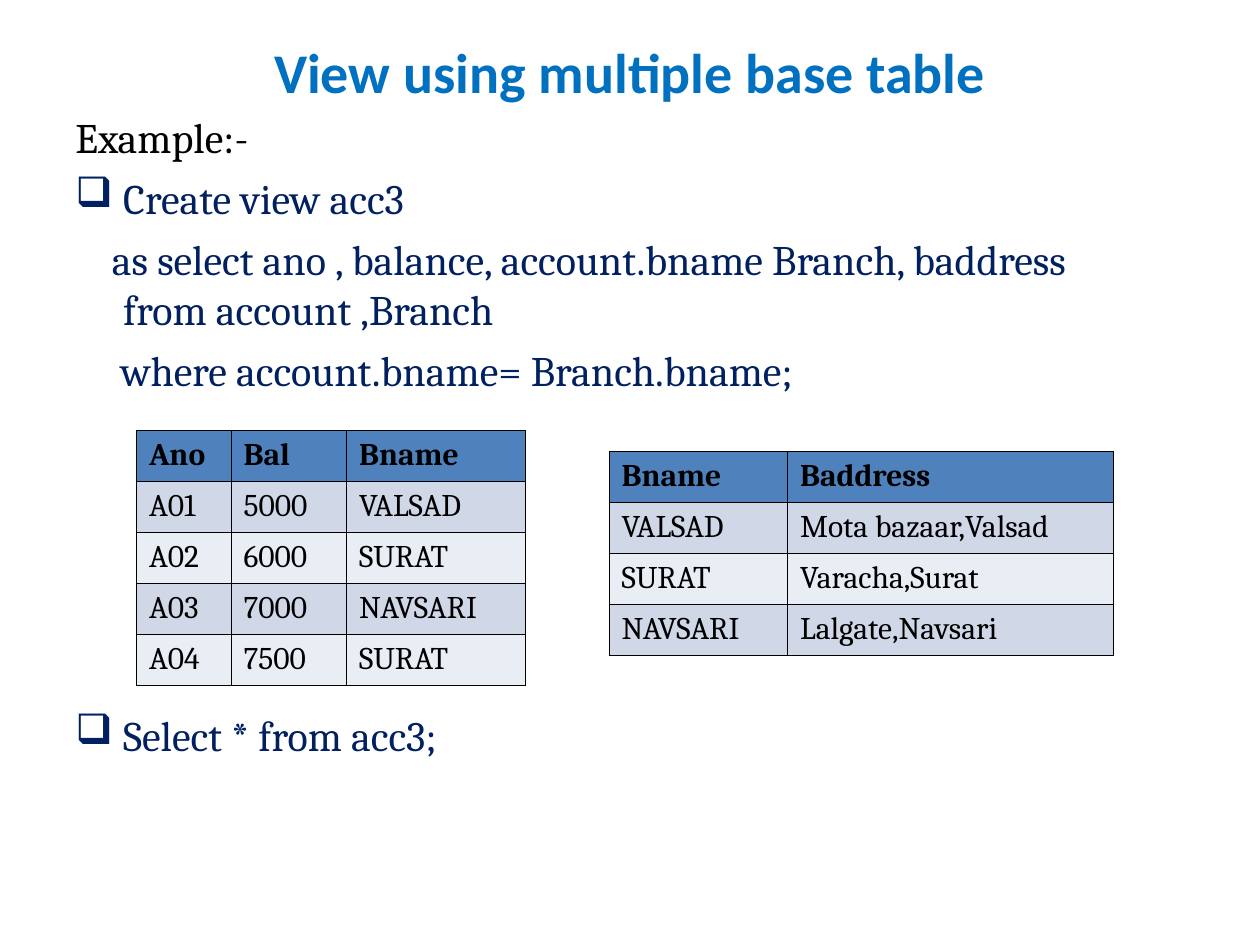
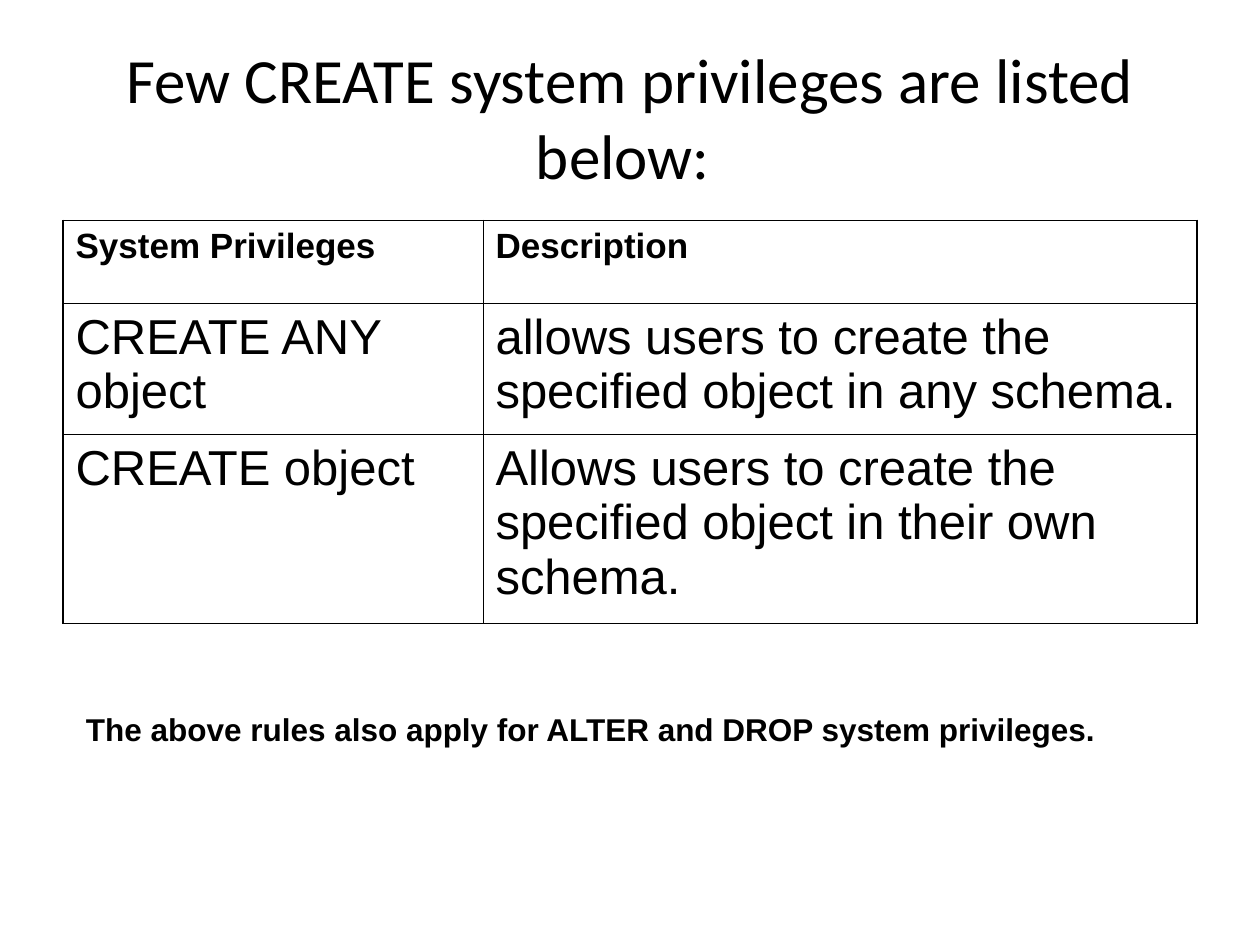
from lxml.etree import SubElement
from pptx import Presentation
from pptx.dml.color import RGBColor
from pptx.enum.text import MSO_ANCHOR as ANCHOR, MSO_AUTO_SIZE as AUTO, PP_ALIGN as ALIGN
from pptx.oxml.ns import qn
from pptx.util import Inches, Pt

BLACK = RGBColor(0x00, 0x00, 0x00)
TITLE_BLUE = RGBColor(0x00, 0x70, 0xC0)
NAVY = RGBColor(0x00, 0x20, 0x60)
HEAD_BLUE = RGBColor(0x4F, 0x81, 0xBD)
BAND_DARK = RGBColor(0xD0, 0xD8, 0xE8)
BAND_LIGHT = RGBColor(0xE9, 0xED, 0xF4)
THIN, THICK = Pt(0.45), Pt(1.08)

prs = Presentation()
prs.slide_width, prs.slide_height = Inches(10), Inches(7.5)
U = prs.slide_width // 120  # square grid: 120 columns by 90 rows
MARGIN, CONTENT = 6, 108    # in grid units


def style(p, font, size, color, bold=False):
    for r in p.runs:
        r.font.name, r.font.size, r.font.bold = font, Pt(size), bold
        r.font.color.rgb = color


def add_grid(s, x, y, cols, heights, rows, font, sizes, fills, outer):
    """Add a ruled table; sizes are (header, body), fills cycle after the header."""
    tbl = s.shapes.add_table(len(rows), len(cols), int(x * U), int(y * U),
                             int(sum(cols) * U), int(sum(heights) * U)).table
    tbl.first_row = tbl.horz_banding = False
    for col, w in zip(tbl.columns, cols):
        col.width = int(w * U)
    for i, (row, h) in enumerate(zip(tbl.rows, heights)):
        row.height = int(h * U)
        for j, cell in enumerate(row.cells):
            cell.text = rows[i][j]
            style(cell.text_frame.paragraphs[0], font, sizes[min(i, 1)], BLACK, i == 0)
            # Borders, heavier where the cell meets the table's edge
            edges = {"L": j == 0, "R": j == len(cols) - 1,
                     "T": i == 0, "B": i == len(rows) - 1}
            for side, on_edge in edges.items():
                ln = SubElement(cell._tc.get_or_add_tcPr(), qn("a:ln" + side),
                                w=str(int(outer if on_edge else THIN)))
                SubElement(SubElement(ln, qn("a:solidFill")), qn("a:srgbClr"), val=str(BLACK))
            if fills:
                cell.fill.solid()
                cell.fill.fore_color.rgb = fills[0] if i == 0 else fills[1 + (i - 1) % 2]
            else:
                cell.fill.background()


# Slides and titles: text, height, size, colour, bold
titles = [
    ("View using multiple base table", 6.4, 32, TITLE_BLUE, True),
    ("Few CREATE system privileges are listed below: ", 15, 36, BLACK, False),
]
slides = []
for text, h, size, color, bold in titles:
    s = prs.slides.add_slide(prs.slide_layouts[5])
    sp = s.shapes.title
    sp.left, sp.top, sp.width, sp.height = [int(v * U) for v in (MARGIN, 3.6, CONTENT, h)]
    tf = sp.text_frame
    tf.text = text
    tf.auto_size, tf.vertical_anchor = AUTO.NONE, ANCHOR.MIDDLE
    tf.paragraphs[0].alignment = ALIGN.CENTER
    style(tf.paragraphs[0], "Calibri", size, color, bold)
    slides.append(s)
view, privileges = slides

# View slide: SQL statements, as text, colour, bullet, first-line indent, space before
statements = [
    ("Example:-", BLACK, False, -0.38, 6),
    ("Create view acc3", NAVY, True, -0.38, 6),
    ("as select ano , balance, account.bname Branch, baddress\vfrom account ,Branch",
     NAVY, False, -0.09, 6),
    ("where account.bname= Branch.bname;", NAVY, False, -0.02, 6),
    ("Select * from acc3;", NAVY, True, -0.38, 180),
]
tf = view.shapes.add_textbox(MARGIN * U, 10 * U, CONTENT * U, 75 * U).text_frame
tf.word_wrap = True
for i, (text, color, bullet, indent, before) in enumerate(statements):
    p = tf.paragraphs[0] if i == 0 else tf.add_paragraph()
    p.text = text
    p.space_before = Pt(before)
    style(p, "Cambria", 24, color)
    pPr = p._p.get_or_add_pPr()
    pPr.set("marL", str(Inches(0.38)))
    pPr.set("indent", str(Inches(indent)))
    if bullet:
        SubElement(pPr, qn("a:buChar"), char="❑")

# View slide: the two base tables
accounts = [
    ("Ano", "Bal", "Bname"),
    ("A01", "5000", "VALSAD"),
    ("A02", "6000", "SURAT"),
    ("A03", "7000", "NAVSARI"),
    ("A04", "7500", "SURAT"),
]
branches = [
    ("Bname", "Baddress"),
    ("VALSAD", "Mota bazaar,Valsad"),
    ("SURAT", "Varacha,Surat"),
    ("NAVSARI", "Lalgate,Navsari"),
]
for x, y, cols, rows in [(13, 41, (9, 11, 17), accounts), (58, 43, (17, 31), branches)]:
    add_grid(view, x, y, cols, [4.86] * len(rows), rows, "Cambria", (18, 18),
             (HEAD_BLUE, BAND_DARK, BAND_LIGHT), THIN)

# Privileges slide: table
rows = [
    ("System Privileges", "Description"),
    ("CREATE ANY object", "allows users to create the specified object in any schema."),
    ("CREATE object", "Allows users to create the specified object in their own schema."),
]
add_grid(privileges, MARGIN, 21, (40, 68), (7.9, 12.5, 18), rows, "Arial", (20, 28), None, THICK)

# Privileges slide: closing note
tf = privileges.shapes.add_textbox(7 * U, 67 * U, 100 * U, int(4.8 * U)).text_frame
tf.text = "The above rules also apply for ALTER and DROP system privileges."
tf.word_wrap, tf.vertical_anchor = True, ANCHOR.MIDDLE
style(tf.paragraphs[0], "Arial", 18, BLACK, True)

prs.save("out.pptx")
